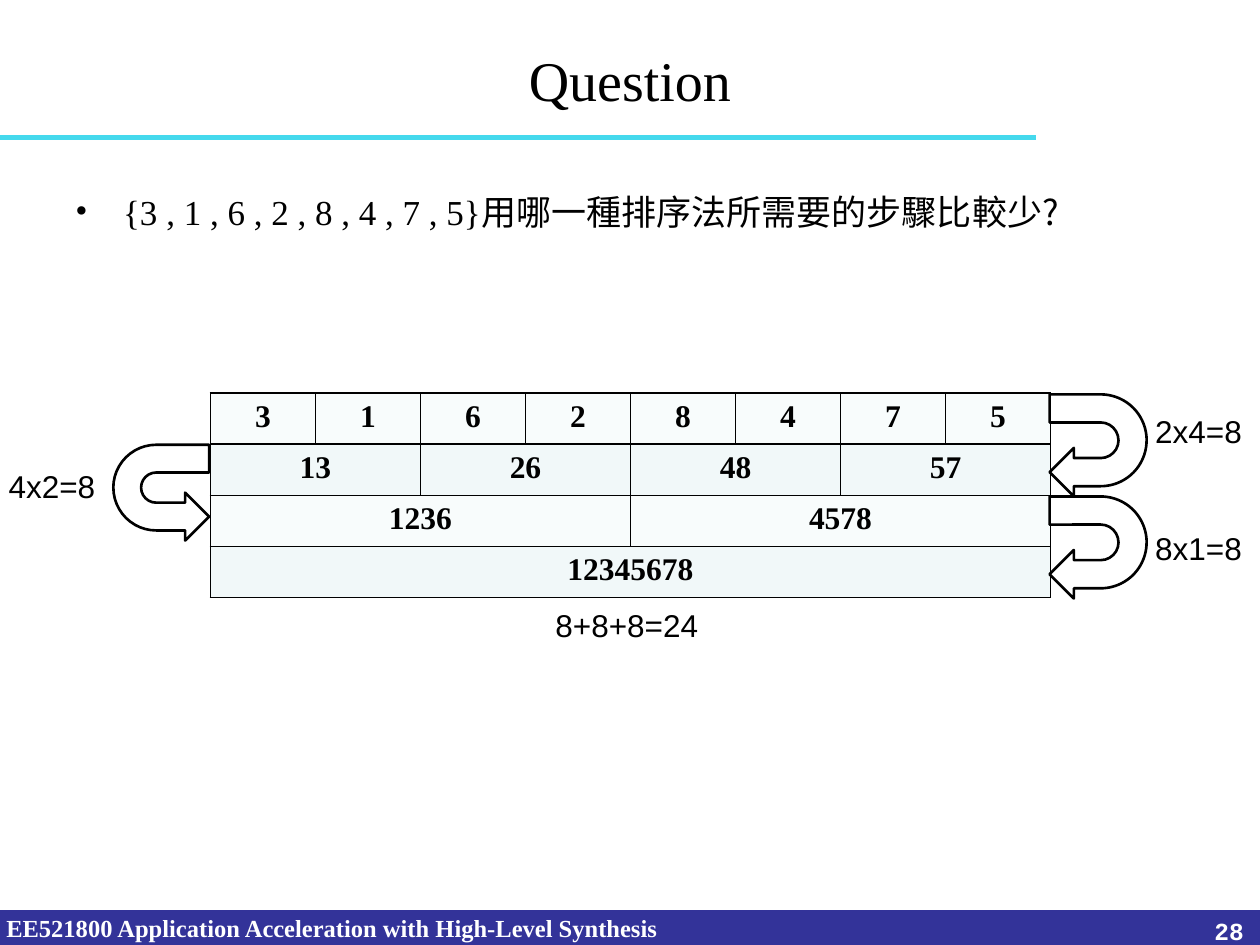
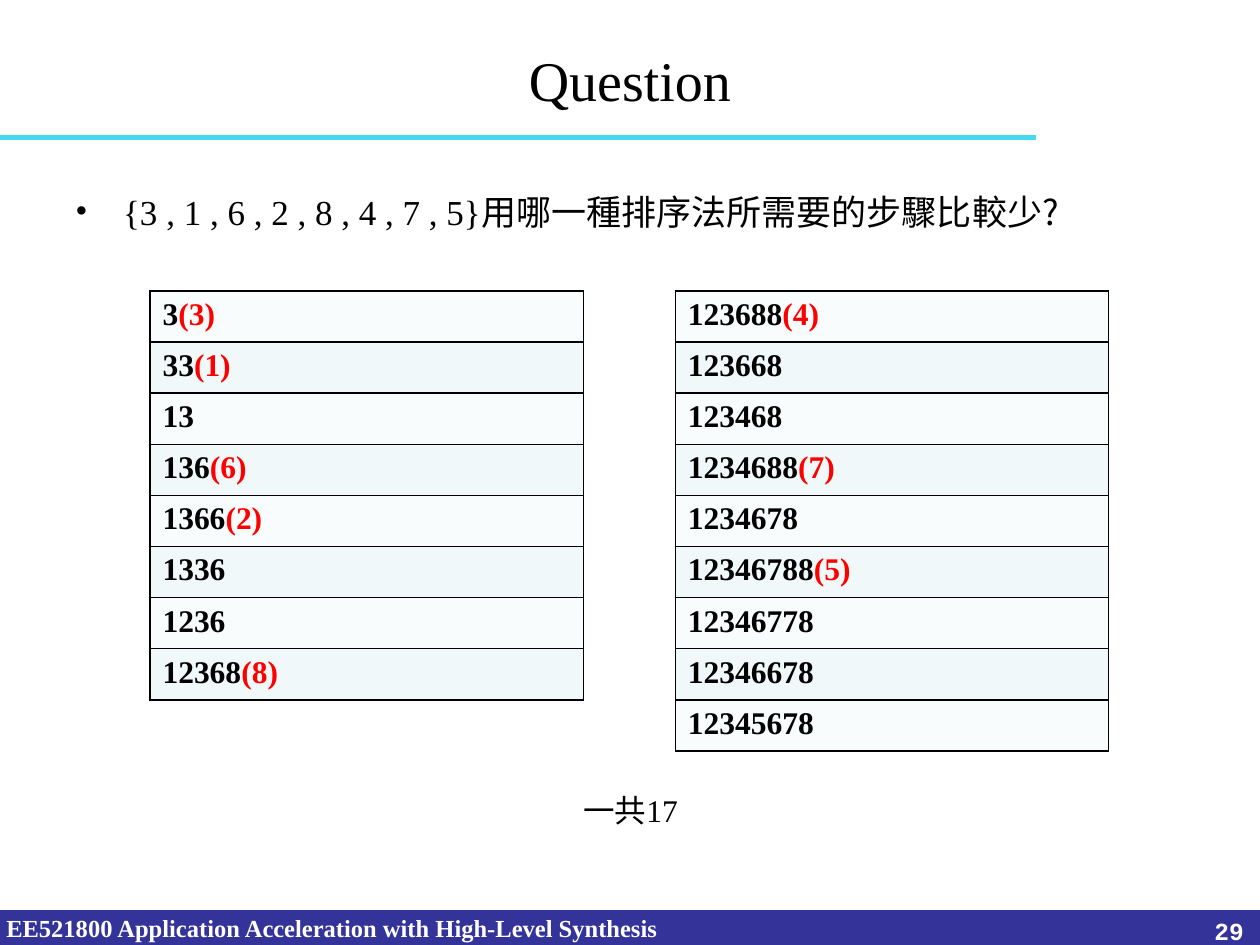
from lxml.etree import SubElement
from pptx import Presentation
from pptx.dml.color import RGBColor
from pptx.enum.shapes import MSO_CONNECTOR, MSO_SHAPE
from pptx.enum.text import MSO_ANCHOR, PP_ALIGN
from pptx.oxml.ns import qn
from pptx.util import Inches, Pt

BLACK, WHITE, RED = "000000", "FFFFFF", "FF0000"
NAVY, CYAN = "333399", "45D9ED"
TINTS = "F8FCFC", "F1F8F9"
SERIF, SANS, MONO, HAN = "Times New Roman", "Arial", "Courier New", "Noto Sans CJK SC"
ROW = 3.65 / 9
COURSE = "EE521800 Application Acceleration with High-Level Synthesis"
ASK = [("{3 , 1 , 6 , 2 , 8 , 4 , 7 , 5}", {}), ("用哪一種排序法所需要的步驟比較少?", {"font": HAN})]


def color(code):
    return RGBColor.from_string(code)


def write(frame, parts, size=18, font=SERIF, ink=BLACK, bold=False, align=PP_ALIGN.LEFT):
    if isinstance(parts, str):
        parts = [(parts, {})]
    para = frame.paragraphs[0]
    para.alignment = align
    for text, diff in parts:
        run = para.add_run()
        run.text = text
        run.font.size = Pt(size)
        run.font.bold = bold
        run.font.name = diff.get("font", font)
        run.font.color.rgb = color(diff.get("ink", ink))
        SubElement(run.font._element, qn("a:ea"), typeface=HAN)
    return para


def split(text):
    head, mark, tail = text.partition("(")
    return [(head, {})] + ([(mark + tail, {"ink": RED})] if mark else [])


class Deck:
    """Holds the shared style and the current slide."""

    def __init__(self):
        self.prs = Presentation()
        self.prs.slide_width, self.prs.slide_height = Inches(10), Inches(7.5)

    def page(self, title, number):
        self.slide = self.prs.slides.add_slide(self.prs.slide_layouts[5])
        self.shapes = self.slide.shapes
        self.band()
        self.rule()
        self.title(title)
        self.text(0, 7.2, 7.5, 0.3, COURSE, inset=0.05, size=14, ink=WHITE, bold=True)
        self.text(7.64, 7.22, 2.33, 0.28, str(number), size=14, font=MONO,
                  ink=WHITE, bold=True, align=PP_ALIGN.RIGHT)
        self.bullet(ASK)

    def title(self, text):
        head = self.shapes.title
        head.left, head.top, head.width, head.height = map(Inches, (0.5, 0, 9, 1.25))
        head.text_frame.vertical_anchor = MSO_ANCHOR.MIDDLE
        write(head.text_frame, text, size=32, align=PP_ALIGN.CENTER)

    def band(self):
        bar = self.shapes.add_shape(MSO_SHAPE.RECTANGLE, 0, Inches(7.23), Inches(10), Inches(0.27))
        bar.shadow.inherit = False
        bar.fill.solid()
        bar.fill.fore_color.rgb = color(NAVY)
        bar.line.color.rgb = color(NAVY)
        bar.line.width = Pt(0.75)

    def rule(self):
        y = Inches(1.09)
        line = self.shapes.add_connector(MSO_CONNECTOR.STRAIGHT, 0, y, Inches(8.22), y)
        line.line.color.rgb = color(CYAN)
        line.line.width = Pt(3)
        SubElement(line._element.spPr, qn("a:effectLst"))

    def text(self, x, y, w, h, parts, inset=0.1, **style):
        frame = self.shapes.add_textbox(*map(Inches, (x, y, w, h))).text_frame
        frame.word_wrap = True
        frame.margin_left = frame.margin_right = Inches(inset)
        return write(frame, parts, **style)

    def bullet(self, parts):
        para = self.text(0.5, 1.46, 9, 0.5, parts, size=20, align=PP_ALIGN.JUSTIFY)
        para.space_before = Pt(4)
        props = para._p.get_or_add_pPr()
        props.set("marL", str(Inches(0.38)))
        props.set("indent", str(-Inches(0.38)))
        SubElement(props, qn("a:buFont"), typeface=SERIF)
        SubElement(props, qn("a:buChar"), char="•")

    def table(self, x, y, width, rows, align=PP_ALIGN.LEFT):
        cols = max(map(len, rows))
        grid = self.shapes.add_table(len(rows), cols, Inches(x), Inches(y),
                                     Inches(width), Inches(ROW * len(rows))).table
        grid.first_row = grid.horz_banding = False
        for r, row in enumerate(rows):
            for c in range(cols):
                self.cell(grid.cell(r, c), TINTS[r % 2])
            span = cols // len(row)
            for i, text in enumerate(row):
                cell = grid.cell(r, i * span)
                if span > 1:
                    cell.merge(grid.cell(r, i * span + span - 1))
                write(cell.text_frame, split(text), bold=True, align=align)

    def cell(self, cell, tint):
        props = cell._tc.get_or_add_tcPr()
        for side in ("lnL", "lnR", "lnT", "lnB"):
            edge = SubElement(props, qn("a:" + side), w=str(Pt(1)))
            fill = SubElement(edge, qn("a:solidFill"))
            SubElement(fill, qn("a:srgbClr"), val=BLACK)
        cell.fill.solid()
        cell.fill.fore_color.rgb = color(tint)

    def turn(self, x, y, w, h, flip=False):
        arrow = self.shapes.add_shape(MSO_SHAPE.U_TURN_ARROW, *map(Inches, (x, y, w, h)))
        for i, value in enumerate((0.29, 0.25, 0.25, 0.48, 1)):
            arrow.adjustments[i] = value
        arrow.rotation = 90
        if flip:
            arrow._element.spPr.get_or_add_xfrm().set("flipV", "1")
        arrow.shadow.inherit = False
        arrow.fill.background()
        arrow.line.color.rgb = color(BLACK)
        arrow.line.width = Pt(1.5)


def main():
    deck = Deck()

    deck.page("Question", 28)
    merges = [list("31626475"[:0] + "31628475"), ["13", "26", "48", "57"],
              ["1236", "4578"], ["12345678"]]
    deck.table(1.67, 3.12, 6.67, merges, align=PP_ALIGN.CENTER)
    for y in (3.96, 3.15):
        deck.turn(8.31, y, 0.81, 0.77)
    deck.turn(0.9, 3.53, 0.76, 0.76, flip=True)
    for x, y, w, label in ((9.07, 3.22, 0.93, "2x4=8"), (-0.03, 3.66, 0.93, "4x2=8"),
                           (9.07, 4.15, 0.93, "8x1=8"), (4.31, 4.76, 1.39, "8+8+8=24")):
        deck.text(x, y, w, 0.4, label, font=SANS)

    deck.page("Question", 29)
    left = "3(3) 33(1) 13 136(6) 1366(2) 1336 1236 12368(8)"
    right = ("123688(4) 123668 123468 1234688(7) 1234678 "
             "12346788(5) 12346778 12346678 12345678")
    for x, steps in ((1.19, left), (5.36, right)):
        deck.table(x, 2.31, 3.44, [[step] for step in steps.split()])
    deck.text(4.31, 6.23, 1.39, 0.4, "一共17", align=PP_ALIGN.CENTER)

    deck.prs.save("out.pptx")


if __name__ == "__main__":
    main()
